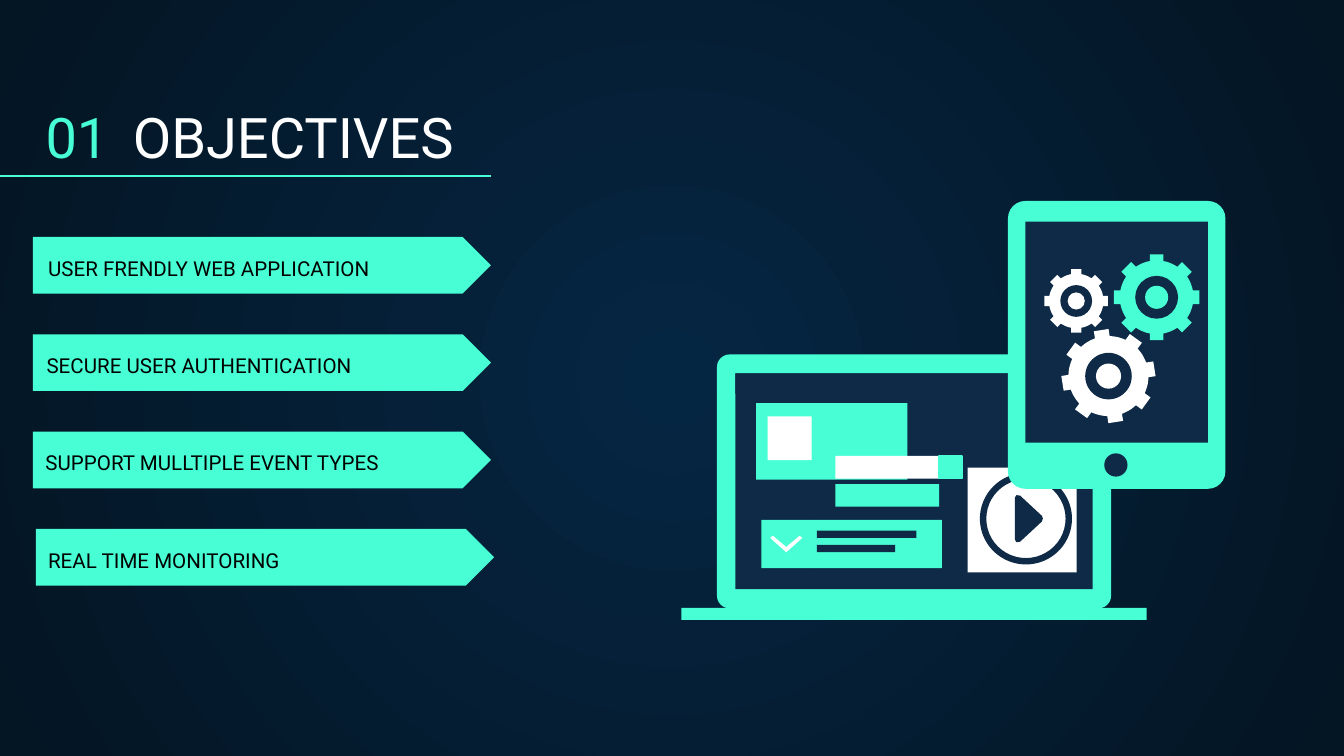
from dataclasses import dataclass
from math import asin, cos, hypot, pi, sin, sqrt

from lxml import etree
from pptx import Presentation
from pptx import util as u
from pptx.dml.color import RGBColor
from pptx.enum import shapes, text
from pptx.oxml.ns import qn

KIND = shapes.MSO_SHAPE


@dataclass(frozen=True)
class Theme:
    mint: str = "48FFD5"
    navy: str = "0E2A47"
    white: str = "FFFFFF"
    black: str = "000000"
    glow: str = "052643"
    edge: str = "041523"
    font: str = "Roboto"
    head: float = 30
    body: float = 11
    rule: float = 0.75


class Deck:
    def __init__(self, theme):
        self.theme = theme
        self.prs = Presentation()
        self.prs.slide_width, self.prs.slide_height = u.Cm(25.4), u.Cm(14.29)
        self.slide = self.prs.slides.add_slide(self.prs.slide_layouts[5])

    def backdrop(self):
        """Radial gradient, light in the middle."""
        fill = self.slide.background.fill
        fill.gradient()
        for stop, pos, tint in zip(fill.gradient_stops, (0, 1),
                                   (self.theme.glow, self.theme.edge)):
            stop.position = pos
            stop.color.rgb = RGBColor.from_string(tint)
        grad = self.slide.element.find(".//" + qn("a:gradFill"))
        grad.remove(grad.find(qn("a:lin")))
        ring = etree.SubElement(grad, qn("a:path"), path="circle")
        etree.SubElement(ring, qn("a:fillToRect"),
                         l="50000", t="50000", r="50000", b="50000")

    def fill_text(self, box, runs, size):
        """Fill a text frame with (words, colour) runs."""
        frame = box.text_frame
        frame.word_wrap = True
        frame.auto_size = text.MSO_AUTO_SIZE.NONE
        frame.vertical_anchor = text.MSO_ANCHOR.BOTTOM
        frame.margin_left = frame.margin_right = u.Cm(0.25)
        frame.margin_top = frame.margin_bottom = u.Cm(0.25)
        para = frame.paragraphs[0]
        para.alignment = text.PP_ALIGN.LEFT
        for words, tint in runs:
            run = para.add_run()
            run.text = words
            run.font.name, run.font.size = self.theme.font, u.Pt(size)
            run.font.color.rgb = RGBColor.from_string(tint)
        return para

    def title(self, x, y, w, h, runs, tab):
        box = self.slide.shapes.title
        box.left, box.top, box.width, box.height = map(u.Cm, (x, y, w, h))
        para = self.fill_text(box, runs, self.theme.head)
        tabs = etree.SubElement(para._p.get_or_add_pPr(), qn("a:tabLst"))
        etree.SubElement(tabs, qn("a:tab"), pos=str(u.Cm(tab)), algn="l")

    def label(self, x, y, w, h, words):
        box = self.slide.shapes.add_textbox(*map(u.Cm, (x, y, w, h)))
        self.fill_text(box, [(words, self.theme.black)], self.theme.body)

    def paint(self, form, tint, line=None):
        form.shadow.inherit = False
        form.fill.solid()
        form.fill.fore_color.rgb = RGBColor.from_string(tint)
        if line:
            form.line.color.rgb = RGBColor.from_string(tint)
            form.line.width = u.Pt(line)
        else:
            form.line.fill.background()

    def shape(self, x, y, w, h, tint, kind=KIND.RECTANGLE, adj=None, line=None):
        form = self.slide.shapes.add_shape(kind, *map(u.Cm, (x, y, w, h)))
        if adj is not None:
            form.adjustments[0] = adj
        self.paint(form, tint, line)

    def disc(self, x, y, r, tint):
        self.shape(x - r, y - r, 2 * r, 2 * r, tint, KIND.OVAL)

    def outline(self, dots, tint):
        dots = [(u.Cm(x), u.Cm(y)) for x, y in dots]
        pen = self.slide.shapes.build_freeform(*dots[0])
        pen.add_line_segments(dots[1:])
        self.paint(pen.convert_to_shape(), tint)

    def rule(self, x, y, end):
        line = self.slide.shapes.add_connector(
            shapes.MSO_CONNECTOR.STRAIGHT, *map(u.Cm, (x, y, end, y)))
        line.line.color.rgb = RGBColor.from_string(self.theme.mint)
        line.line.width = u.Pt(self.theme.rule)
        etree.SubElement(line._element.spPr, qn("a:effectLst"))

    def gear(self, x, y, r, tint, turn=0, teeth=8):
        """Toothed wheel of tip radius r, with a dark ring and a hub."""
        body, half = 0.86 * r, 0.16 * r
        root, side = sqrt(body ** 2 - half ** 2), asin(half / body)
        step = 2 * pi / teeth
        polar = [(hypot(d, half), asin(s * half / hypot(d, half)))
                 for d, s in ((root, -1), (r, -1), (r, 1), (root, 1))]
        polar += [(body, side + (step - 2 * side) * j / 5) for j in range(1, 5)]
        dots = []
        for k in range(teeth):
            base = turn * pi / 180 + k * step
            dots += [(x + d * cos(base + a), y + d * sin(base + a))
                     for d, a in polar]
        self.outline(dots, tint)
        self.disc(x, y, 0.5 * r, self.theme.navy)
        self.disc(x, y, 0.27 * r, tint)


def main():
    t = Theme()
    deck = Deck(t)
    deck.backdrop()

    # Heading
    deck.title(0.61, 1.78, 8.51, 1.68,
               [("01", t.mint), ("\tOBJECTIVES", t.white)], tab=1.65)
    deck.rule(0, 3.33, 9.27)

    # Objectives: arrow left, label left, words
    goals = [(0.62, 0.66, "USER FRENDLY WEB APPLICATION"),
             (0.62, 0.63, "SECURE USER AUTHENTICATION"),
             (0.62, 0.61, "SUPPORT MULLTIPLE EVENT TYPES"),
             (0.68, 0.66, "REAL TIME MONITORING")]
    for i, (left, inset, words) in enumerate(goals):
        top = 4.48 + 1.84 * i
        deck.shape(left, top, 8.66, 1.07, t.mint, KIND.PENTAGON, 0.5)
        deck.label(inset, top, 8.51, 1.07, words)

    # Laptop
    deck.shape(13.55, 6.7, 7.45, 4.8, t.mint, KIND.ROUNDED_RECTANGLE, 0.05)
    for part in [
        (13.9, 7.06, 6.75, 4.08, t.navy),    # screen
        (12.88, 11.49, 8.79, 0.23, t.mint),  # base
        (13.9, 7.06, 6.75, 0.38, t.navy),    # top bar
        (14.29, 7.62, 2.86, 1.45, t.mint),   # card
        (14.51, 7.87, 0.83, 0.83, t.white),  # thumbnail
        (15.29, 9.83, 2.51, 0.91, t.mint),   # note
        (15.44, 10.03, 1.88, 0.14, t.navy),
        (15.44, 10.3, 1.48, 0.14, t.navy),
        (14.39, 9.83, 0.9, 0.91, t.mint),    # tick box
        (15.79, 9.15, 1.96, 0.43, t.mint),   # fields
        (15.79, 8.62, 1.96, 0.43, t.white),
        (18.29, 8.84, 2.06, 1.98, t.white),  # player
    ]:
        deck.shape(*part)
    deck.shape(17.75, 8.62, 0.43, 0.43, t.mint, line=t.rule)
    deck.outline([(15.11, 10.13), (14.86, 10.34), (14.61, 10.13),
                  (14.56, 10.16), (14.58, 10.19), (14.86, 10.44),
                  (15.14, 10.19), (15.16, 10.16)], t.white)

    # Play button
    deck.shape(18.52, 8.94, 1.74, 1.73, t.navy, KIND.DONUT, 0.07)
    deck.outline([(19.18, 9.41), (19.21, 9.36), (19.28, 9.37), (19.69, 9.75),
                  (19.71, 9.8), (19.69, 9.86), (19.28, 10.24),
                  (19.21, 10.25), (19.18, 10.2)], t.navy)

    # Tablet
    deck.shape(19.05, 3.8, 4.11, 5.44, t.mint, KIND.ROUNDED_RECTANGLE, 0.08)
    deck.shape(19.38, 4.19, 3.45, 4.18, t.navy)
    deck.disc(21.09, 8.79, 0.22, t.navy)
    deck.gear(21.86, 5.62, 0.81, t.mint)
    deck.gear(20.34, 5.69, 0.6, t.white)
    deck.gear(20.95, 7.11, 0.88, t.white, turn=-9)

    deck.prs.save("out.pptx")


if __name__ == "__main__":
    main()
